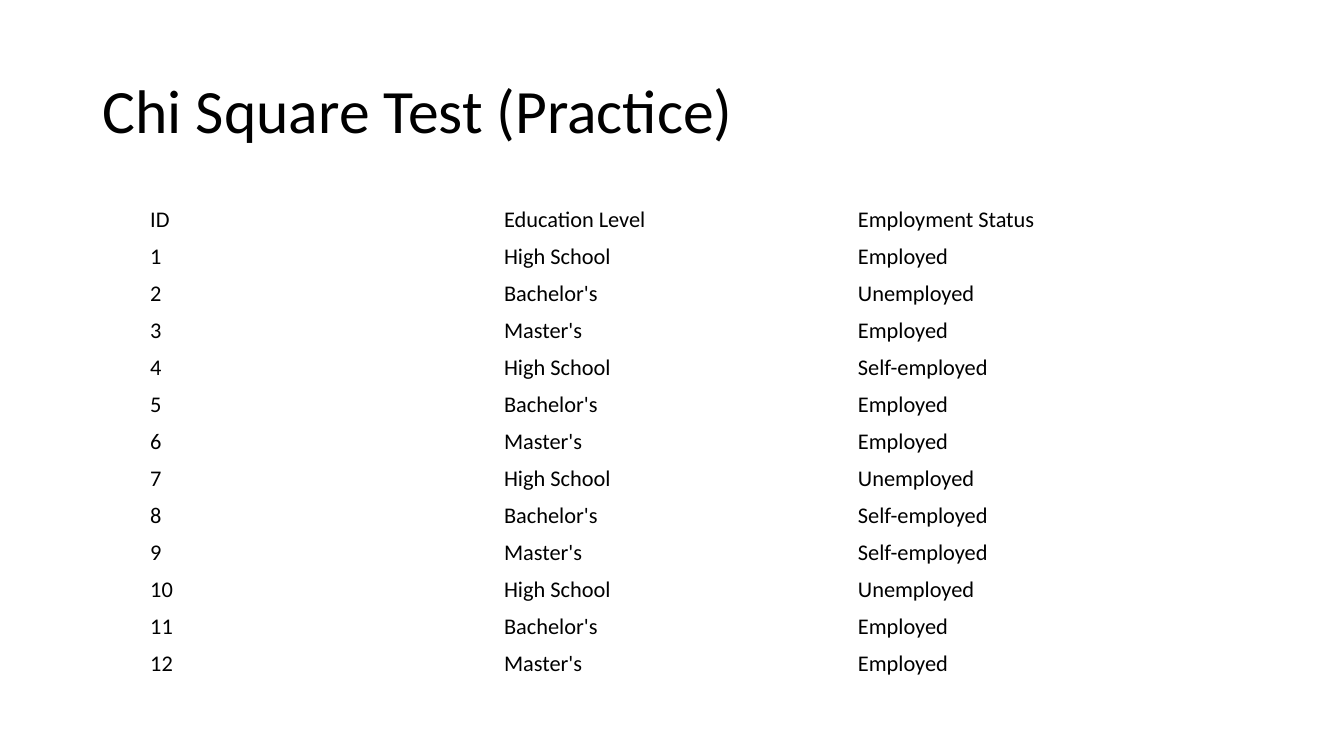
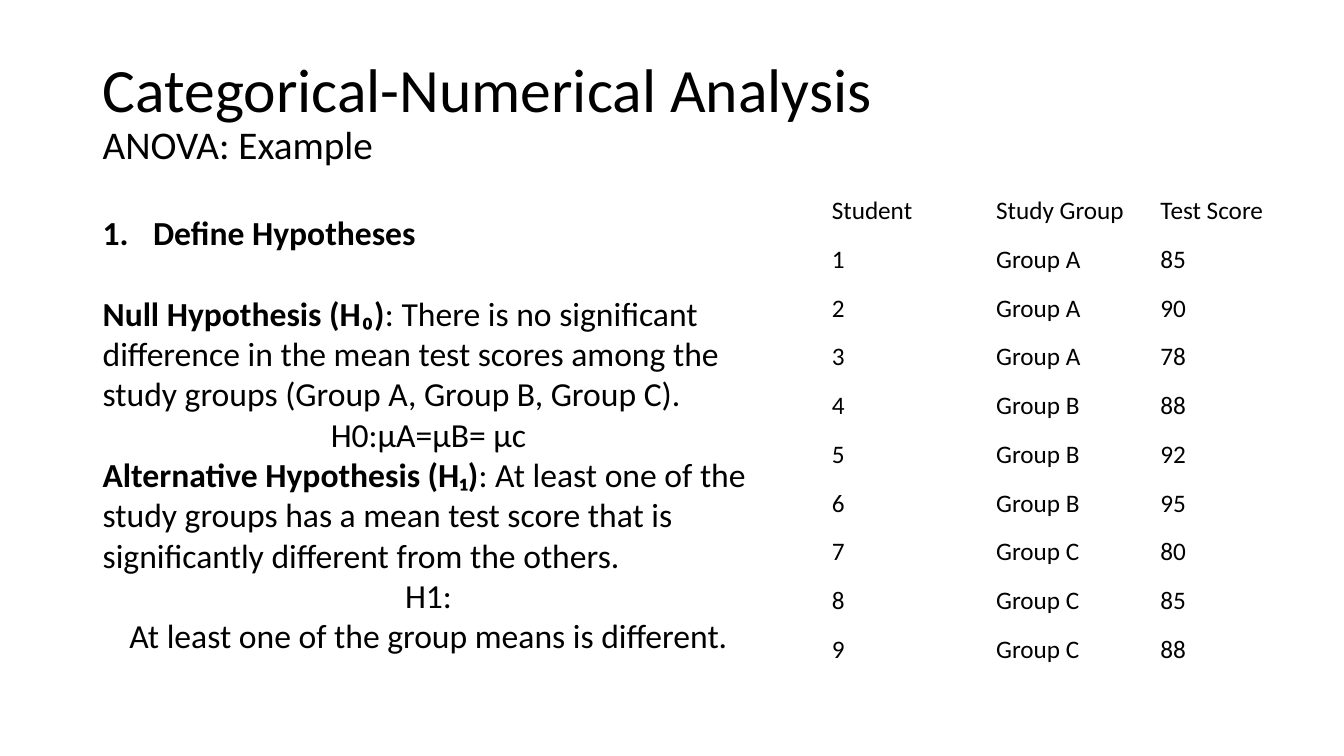
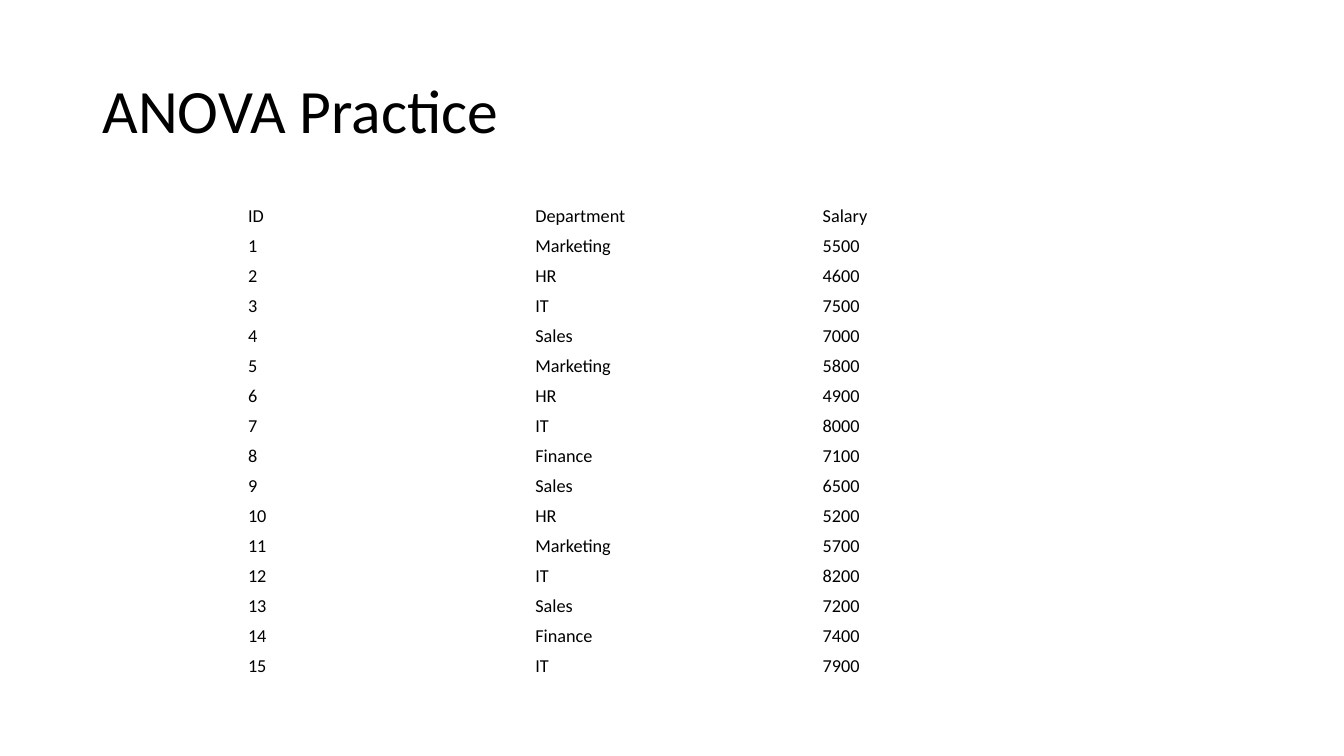
import pptx
import pptx.dml.color
import pptx.enum.text
import pptx.util
from lxml import etree

Inches = pptx.util.Inches
Pt = pptx.util.Pt
ANCHOR = pptx.enum.text.MSO_ANCHOR
ALIGN = pptx.enum.text.PP_ALIGN

FONT = "Calibri"
COLORS = {"text": "000000", "background": "FFFFFF"}
LEFT = 0.92
TITLE_SIZE, SUBTITLE_SIZE, BODY_SIZE = 44, 28, 24
BODY_LINE = 29

# Each row is numbered from 1 when its table is built.
EMPLOYMENT = {
    "header": ("ID", "Education Level", "Employment Status"),
    "rows": [
        ("High School", "Employed"),
        ("Bachelor's", "Unemployed"),
        ("Master's", "Employed"),
        ("High School", "Self-employed"),
        ("Bachelor's", "Employed"),
        ("Master's", "Employed"),
        ("High School", "Unemployed"),
        ("Bachelor's", "Self-employed"),
        ("Master's", "Self-employed"),
        ("High School", "Unemployed"),
        ("Bachelor's", "Employed"),
        ("Master's", "Employed"),
    ],
    "left": 1.4, "top": 2, "height": 4.76, "columns": (3.51, 3.51, 3.51),
    "size": 16, "insets": (0.09, 0.05),
}
SCORES = {
    "header": ("Student", "Study Group", "Test Score"),
    "rows": [
        ("Group A", "85"), ("Group A", "90"), ("Group A", "78"),
        ("Group B", "88"), ("Group B", "92"), ("Group B", "95"),
        ("Group C", "80"), ("Group C", "85"), ("Group C", "88"),
    ],
    "left": 8.15, "top": 1.85, "height": 4.84, "columns": (1.63, 1.63, 1.63),
    "size": 18, "insets": (0.1, 0.05),
}
SALARIES = {
    "header": ("ID", "Department", "Salary"),
    "rows": [
        ("Marketing", "5500"), ("HR", "4600"), ("IT", "7500"),
        ("Sales", "7000"), ("Marketing", "5800"), ("HR", "4900"),
        ("IT", "8000"), ("Finance", "7100"), ("Sales", "6500"),
        ("HR", "5200"), ("Marketing", "5700"), ("IT", "8200"),
        ("Sales", "7200"), ("Finance", "7400"), ("IT", "7900"),
    ],
    "left": 2.39, "top": 2, "height": 4.76, "columns": (2.85, 2.85, 1.47),
    "size": 13, "insets": (0.07, 0.04),
}

# Paragraph style, bold lead, then plain lines.
HYPOTHESES = [
    ("numbered", "Define Hypotheses", []),
    ("spaced", "Null Hypothesis (H₀)",
     [": There is no significant difference in the mean test scores among "
      "the study groups (Group A, Group B, Group C)."]),
    ("centered", "", ["H0:μA=μB= μc"]),
    ("plain", "Alternative Hypothesis (H₁)",
     [": At least one of the study groups has a mean test score that is "
      "significantly different from the others."]),
    ("centered", "", ["H1:", "At least one of the group means is different."]),
]

PAGES = [
    (["Chi Square Test (Practice)"], EMPLOYMENT, []),
    (["Categorical-Numerical Analysis", "ANOVA: Example"], SCORES, HYPOTHESES),
    (["ANOVA Practice"], SALARIES, []),
]


def style_span(span, size, bold=False):
    span.font.name = FONT
    span.font.size = Pt(size)
    span.font.bold = bold
    span.font.color.rgb = pptx.dml.color.RGBColor.from_string(COLORS["text"])


def add_span(paragraph, text, size, bold=False):
    span = paragraph.add_run()
    span.text = text
    style_span(span, size, bold)


def add_box(page, top, width, height):
    box = page.shapes.add_textbox(
        Inches(LEFT), Inches(top), Inches(width), Inches(height))
    box.text_frame.word_wrap = True
    return box.text_frame


def add_title(page, lines):
    frame = add_box(page, 0.4, 11.5, 1.45)
    frame.vertical_anchor = ANCHOR.MIDDLE
    paragraph = frame.paragraphs[0]
    paragraph.line_spacing = 0.9
    for index, line in enumerate(lines):
        if index:
            paragraph.add_line_break()
        add_span(paragraph, line, SUBTITLE_SIZE if index else TITLE_SIZE)


def add_data_table(page, data):
    rows = [data["header"]]
    rows += [(str(number), *row) for number, row in enumerate(data["rows"], 1)]
    columns = data["columns"]
    table = page.shapes.add_table(
        len(rows), len(columns), Inches(data["left"]), Inches(data["top"]),
        Inches(sum(columns)), Inches(data["height"])).table
    table.first_row = table.horz_banding = False
    for column, width in zip(table.columns, columns):
        column.width = Inches(width)
    side, edge = map(Inches, data["insets"])
    for table_row, row in zip(table.rows, rows):
        for cell, text in zip(table_row.cells, row):
            cell.fill.background()
            cell.vertical_anchor = ANCHOR.MIDDLE
            cell.margin_left = cell.margin_right = side
            cell.margin_top = cell.margin_bottom = edge
            cell.text_frame.text = text
            style_span(cell.text_frame.paragraphs[0].runs[0], data["size"])


def number_paragraph(paragraph):
    properties = paragraph._p.get_or_add_pPr()
    properties.set("marL", str(Inches(0.5)))
    properties.set("indent", str(-Inches(0.5)))
    numbering = etree.SubElement(
        properties, pptx.oxml.ns.qn("a:buAutoNum"))
    numbering.set("type", "arabicPeriod")


def add_body(page, content):
    frame = add_box(page, 2.05, 6.66, 4.54)
    frame.auto_size = pptx.enum.text.MSO_AUTO_SIZE.SHAPE_TO_FIT_TEXT
    for index, (style, lead, lines) in enumerate(content):
        paragraph = frame.add_paragraph() if index else frame.paragraphs[0]
        if style == "numbered":
            number_paragraph(paragraph)
        elif style == "spaced":
            paragraph.space_before = Pt(BODY_LINE)
        elif style == "centered":
            paragraph.alignment = ALIGN.CENTER
        if lead:
            add_span(paragraph, lead, BODY_SIZE, bold=True)
        for line_index, line in enumerate(lines):
            if line_index:
                paragraph.add_line_break()
            add_span(paragraph, line, BODY_SIZE)


def main():
    deck = pptx.Presentation()
    deck.slide_width, deck.slide_height = Inches(13.33), Inches(7.5)
    background = deck.slide_master.background.fill
    background.solid()
    background.fore_color.rgb = pptx.dml.color.RGBColor.from_string(
        COLORS["background"])
    for title, data, body in PAGES:
        page = deck.slides.add_slide(deck.slide_layouts[6])
        add_title(page, title)
        add_data_table(page, data)
        if body:
            add_body(page, body)
    deck.save("out.pptx")


if __name__ == "__main__":
    main()
